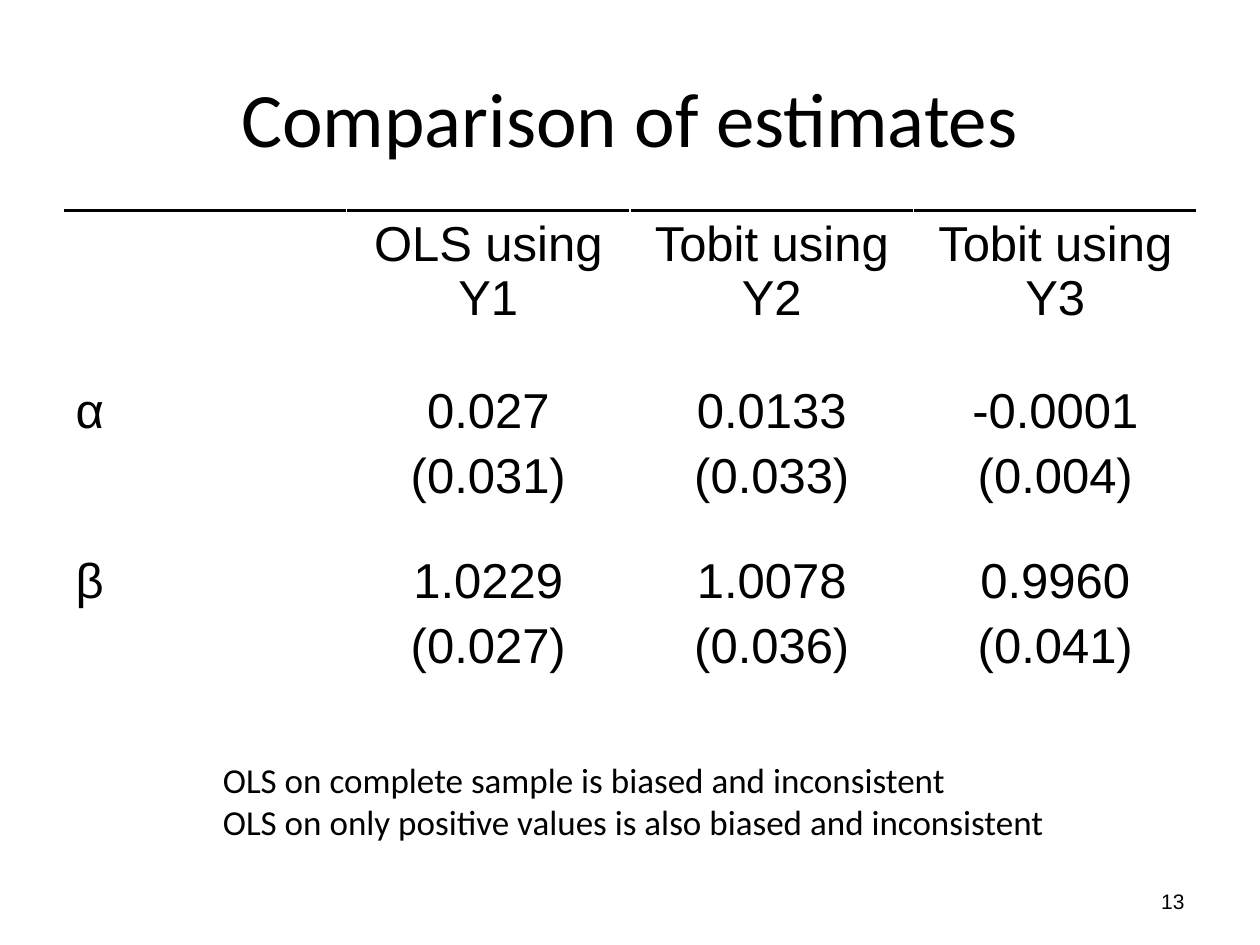
from lxml import etree
from pptx import Presentation
from pptx.dml.color import RGBColor
from pptx.enum.text import MSO_ANCHOR, PP_ALIGN
from pptx.oxml.ns import qn
from pptx.util import Inches, Pt

LEFT, CENTER, RIGHT = PP_ALIGN.LEFT, PP_ALIGN.CENTER, PP_ALIGN.RIGHT
TOP, MIDDLE = MSO_ANCHOR.TOP, MSO_ANCHOR.MIDDLE
BLACK = RGBColor(0, 0, 0)

TITLE = "Comparison of estimates"
NOTES = ["OLS on complete sample is biased and inconsistent",
         "OLS on only positive values is also biased and inconsistent"]
PAGE = "13"
ESTIMATES = [
    ["", "OLS using Y1", "Tobit using Y2", "Tobit using Y3"],
    ["α", "0.027\n(0.031)", "0.0133\n(0.033)", "-0.0001\n(0.004)"],
    ["β", "1.0229\n(0.027)", "1.0078\n(0.036)", "0.9960\n(0.041)"],
]
ROW_HEIGHTS = [1.33, 1.35, 1.35]
COL_WIDTH = 2.25
CELL_SIZE = 28


def write(tf, lines, font, size, align, before=0):
    """Fill a text frame with one paragraph per line."""
    tf.text = "\n".join(lines)
    for p in tf.paragraphs:
        p.alignment = align
        p.space_before = Pt(before)
        p.font.name, p.font.size = font, Pt(size)
        p.font.color.rgb = BLACK


def add_text(s, box, lines, font, size, align, anchor):
    """Add a wrapping text box; box is left, top, width, height in inches."""
    tf = s.shapes.add_textbox(*map(Inches, box)).text_frame
    tf.word_wrap = True
    tf.vertical_anchor = anchor
    write(tf, lines, font, size, align)


def add_top_border(cell, width):
    """Draw a solid black rule along the top of a cell."""
    line = etree.Element(qn("a:lnT"), w=str(Pt(width)))
    fill = etree.SubElement(line, qn("a:solidFill"))
    etree.SubElement(fill, qn("a:srgbClr"), val=str(BLACK))
    cell._tc.get_or_add_tcPr().insert(0, line)


def add_estimates(s, left, top):
    """Add the table of estimates with standard errors below them."""
    cols = len(ESTIMATES[0])
    table = s.shapes.add_table(
        len(ESTIMATES), cols, Inches(left), Inches(top),
        Inches(COL_WIDTH * cols), Inches(sum(ROW_HEIGHTS))).table
    table.first_row = table.horz_banding = False
    for column in table.columns:
        column.width = Inches(COL_WIDTH)
    for r, values in enumerate(ESTIMATES):
        table.rows[r].height = Inches(ROW_HEIGHTS[r])
        for c, value in enumerate(values):
            cell = table.cell(r, c)
            cell.fill.background()
            write(cell.text_frame, value.split("\n"), "Arial", CELL_SIZE,
                  CENTER if c else LEFT, before=0.2 * CELL_SIZE)
            if r == 0:
                add_top_border(cell, 2.25)


prs = Presentation()
prs.slide_width, prs.slide_height = Inches(10), Inches(7.5)
s = prs.slides.add_slide(prs.slide_layouts[6])
add_text(s, (7.17, 6.95, 2.33, 0.4), [PAGE], "Arial", 12, RIGHT, MIDDLE)
add_text(s, (0.5, 0.3, 9, 1.25), [TITLE], "Calibri", 44, CENTER, MIDDLE)
add_estimates(s, 0.5, 1.67)
add_text(s, (1.67, 5.97, 6.89, 0.77), NOTES, "Calibri", 20, LEFT, TOP)
prs.save("out.pptx")
